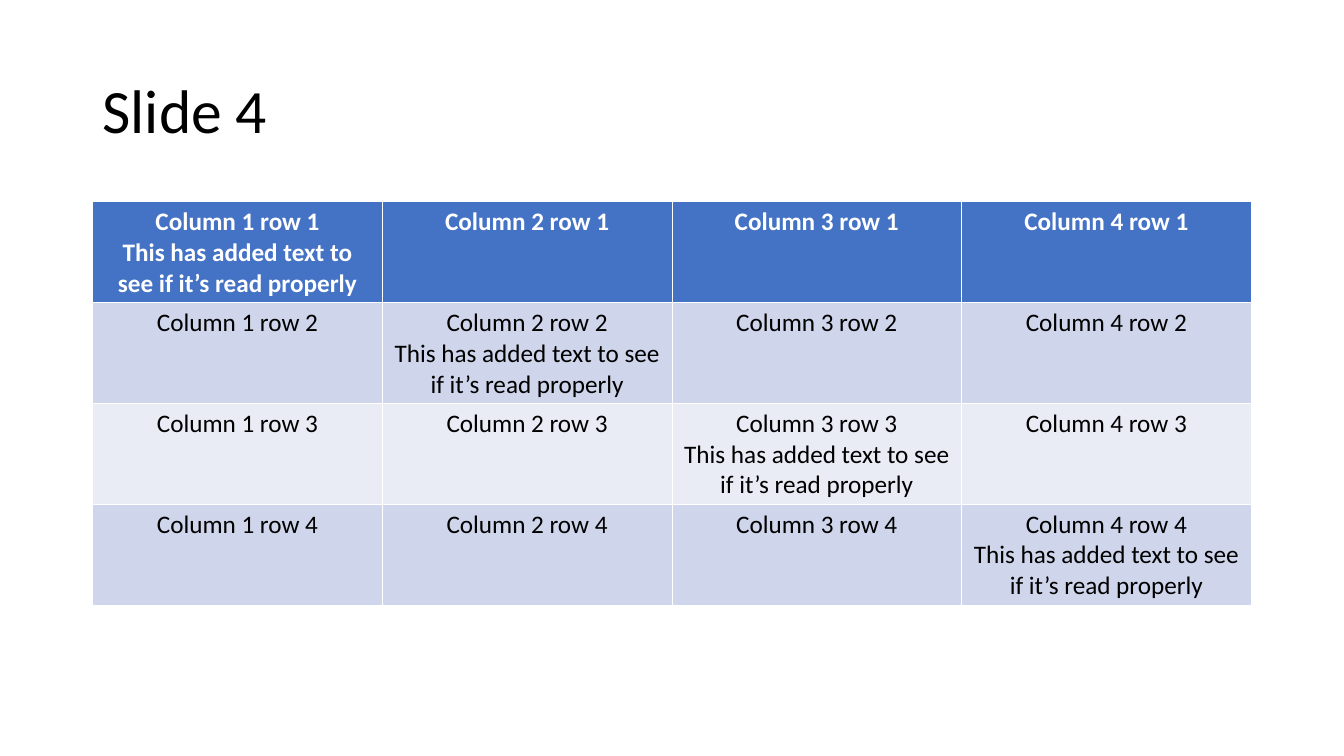
"""Build a slide with a title and a four by four table of text cells."""
from dataclasses import dataclass

from lxml.etree import SubElement
from pptx import Presentation
from pptx.dml.color import RGBColor
from pptx.enum.text import MSO_ANCHOR, PP_ALIGN
from pptx.oxml.ns import qn
from pptx.util import Inches, Pt

SLIDE_WIDTH, SLIDE_HEIGHT = Inches(13.34), Inches(7.5)
MARGIN = Inches(0.92)
CONTENT_WIDTH = SLIDE_WIDTH - 2 * MARGIN
TITLE_TOP, TITLE_HEIGHT = Inches(0.4), Inches(1.45)
TABLE_TOP, ROW_HEIGHT = Inches(2), Inches(1)
GRID_SIZE = 4
THIN_RULE, HEADER_RULE = Pt(0.45), Pt(1.47)
ADDED_TEXT = "This has added text to see if it’s read properly"
COLOURS = {
    "header": "4472C4",
    "dark band": "CFD5EA",
    "light band": "E9EBF5",
    "rule": "FFFFFF",
    "header text": "FFFFFF",
    "body text": "000000",
}
TITLE_FORMAT = {"name": "Calibri", "size": Pt(44)}
HEADER_FORMAT = {"name": "Calibri", "size": Pt(18), "bold": True}
BODY_FORMAT = {**HEADER_FORMAT, "bold": False}


@dataclass(frozen=True)
class Entry:
    """One table cell's place, counted from one."""

    column: int
    row: int

    @property
    def lines(self) -> list[str]:
        """Return the label, with the added text on the diagonal."""
        label = f"Column {self.column} row {self.row}"
        return [label, ADDED_TEXT] if self.column == self.row else [label]

    @property
    def band(self) -> str:
        """Return the name of the row's fill colour."""
        if self.row == 1:
            return "header"
        return "light band" if self.row % 2 else "dark band"

    @property
    def rules(self) -> dict[str, int]:
        """Return the border widths by side."""
        return {
            "lnL": THIN_RULE,
            "lnR": THIN_RULE,
            "lnT": HEADER_RULE if self.row == 2 else THIN_RULE,
            "lnB": HEADER_RULE if self.row == 1 else THIN_RULE,
        }


def style_font(font, formats: dict, colour: str) -> None:
    """Apply the format values and a colour to a font."""
    for attribute, setting in formats.items():
        setattr(font, attribute, setting)
    font.color.rgb = RGBColor.from_string(COLOURS[colour])


def draw_title(slide, wording: str) -> None:
    """Draw the slide title."""
    title = slide.shapes.add_textbox(MARGIN, TITLE_TOP, CONTENT_WIDTH, TITLE_HEIGHT)
    frame = title.text_frame
    frame.word_wrap = True
    frame.vertical_anchor = MSO_ANCHOR.MIDDLE
    heading = frame.paragraphs[0]
    heading.line_spacing = 0.9
    run = heading.add_run()
    run.text = wording
    style_font(run.font, TITLE_FORMAT, "body text")


def draw_rules(cell, rules: dict[str, int]) -> None:
    """Draw the cell borders, which must come before the fill."""
    properties = cell._tc.get_or_add_tcPr()
    for position, (side, width) in enumerate(rules.items()):
        rule = SubElement(properties, qn(f"a:{side}"), w=str(width))
        SubElement(SubElement(rule, qn("a:solidFill")), qn("a:srgbClr"), val=COLOURS["rule"])
        properties.insert(position, rule)


def draw_entry(cell, entry: Entry) -> None:
    """Fill a cell with its text, band colour and borders."""
    is_header = entry.row == 1
    cell.fill.solid()
    cell.fill.fore_color.rgb = RGBColor.from_string(COLOURS[entry.band])
    cell.text_frame.text = "\n".join(entry.lines)
    for line in cell.text_frame.paragraphs:
        line.alignment = PP_ALIGN.CENTER
        style_font(
            line.runs[0].font,
            HEADER_FORMAT if is_header else BODY_FORMAT,
            "header text" if is_header else "body text",
        )
    draw_rules(cell, entry.rules)


def draw_table(slide) -> None:
    """Draw the table on an even grid."""
    table = slide.shapes.add_table(
        GRID_SIZE, GRID_SIZE, MARGIN, TABLE_TOP, CONTENT_WIDTH, GRID_SIZE * ROW_HEIGHT
    ).table
    for row in range(GRID_SIZE):
        for column in range(GRID_SIZE):
            draw_entry(table.cell(row, column), Entry(column + 1, row + 1))


def main() -> None:
    """Build and save the presentation."""
    presentation = Presentation()
    presentation.slide_width, presentation.slide_height = SLIDE_WIDTH, SLIDE_HEIGHT
    slide = presentation.slides.add_slide(presentation.slide_layouts[6])
    draw_title(slide, "Slide 4")
    draw_table(slide)
    presentation.save("out.pptx")


if __name__ == "__main__":
    main()
